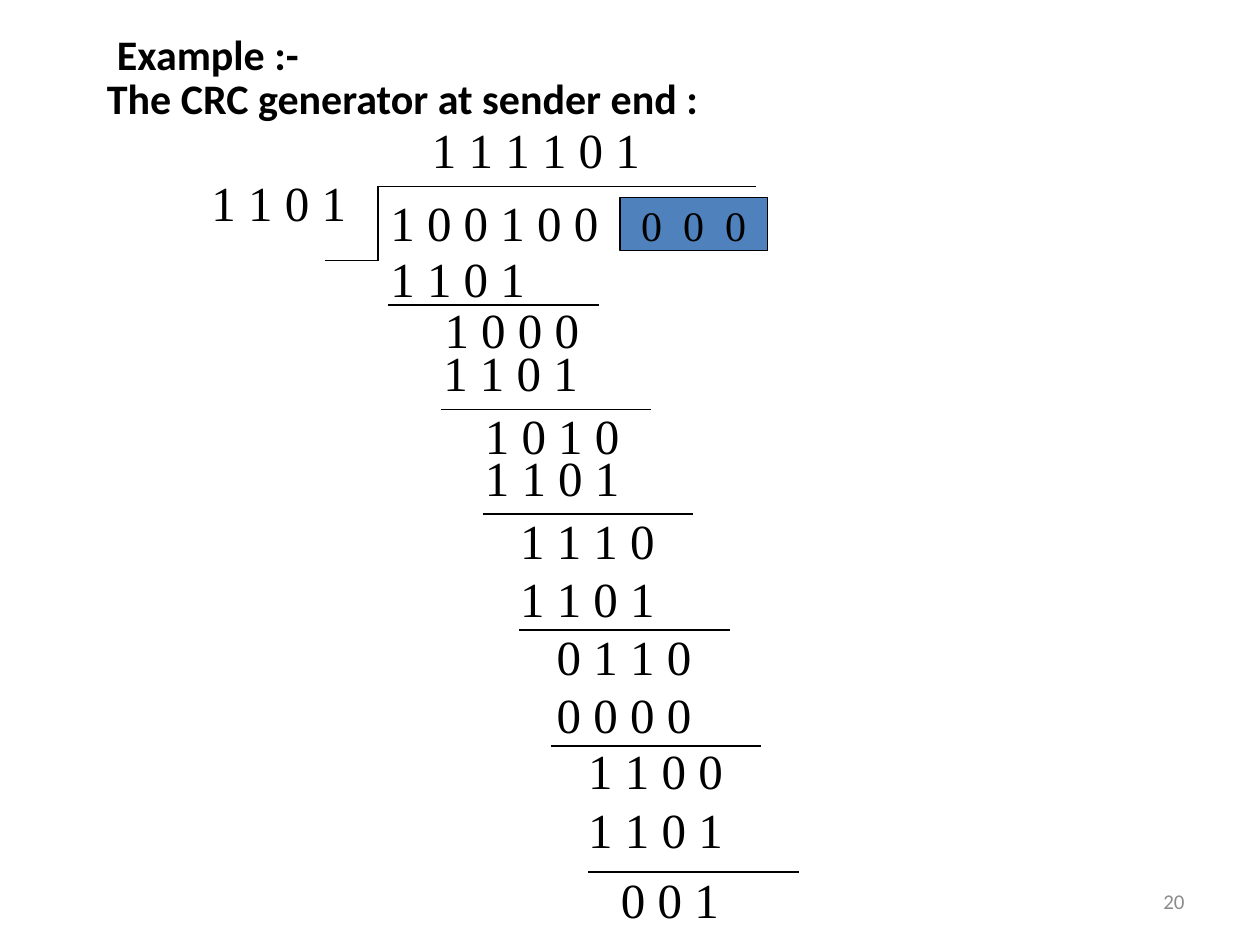
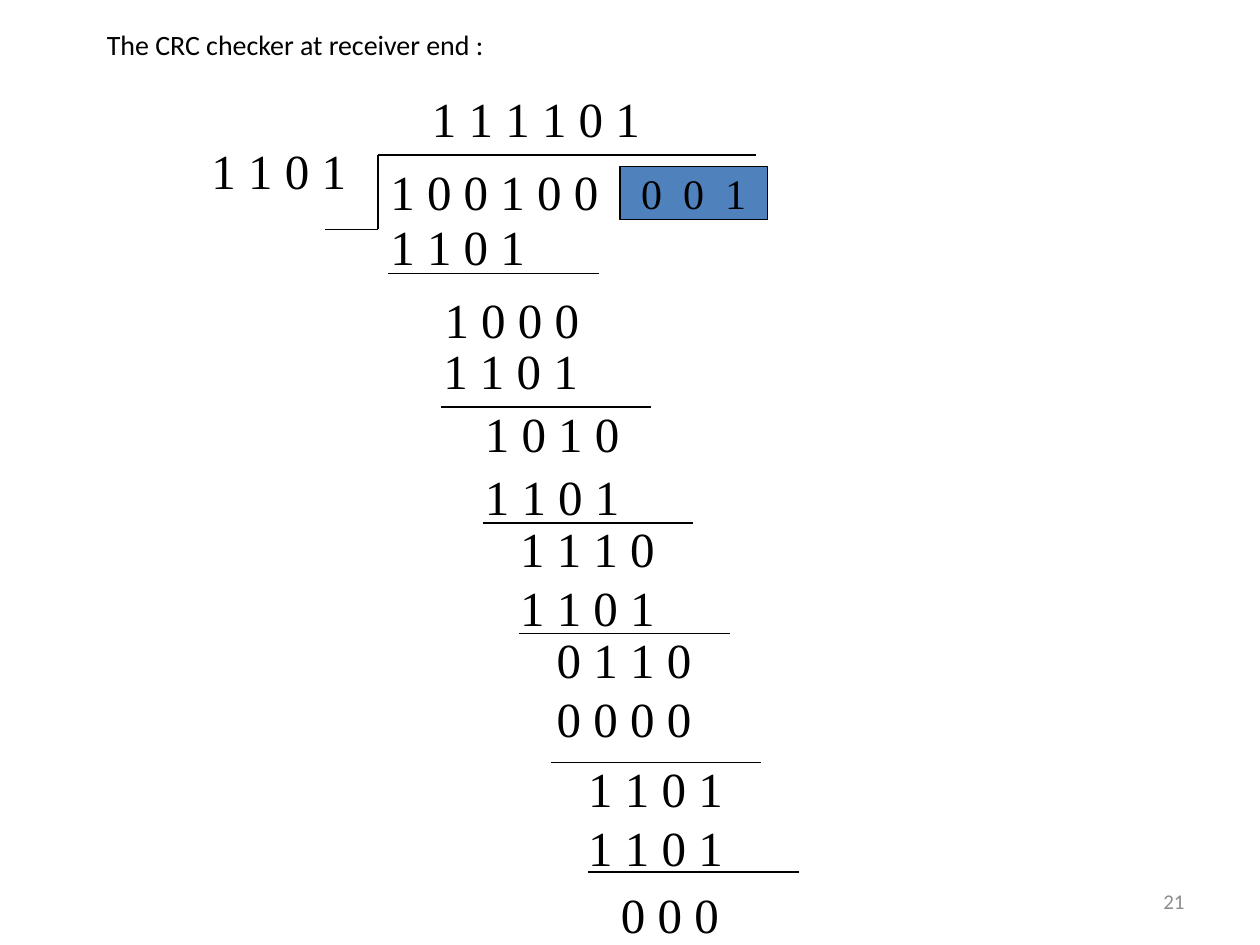
from pptx import Presentation
from pptx.dml.color import RGBColor
from pptx.enum import shapes, text
from pptx.oxml.ns import qn
from pptx.util import Inches, Pt
from lxml import etree

BLACK, GREY, BLUE = "000000", "8C8C8C", "4F81BD"
SERIF, SANS = "Times New Roman", "Calibri"
DIVISOR, QUOTIENT, DIVIDEND = "1 1 0 1", "1 1 1 1 0 1", "1 0 0 1 0 0"

STEP_LEFTS = [3, 3.43, 3.42, 3.75, 3.75, 4.03, 4.32, 4.57, 4.83]
RULE_LEFTS = [3.08, 3.5, 3.83, 4.12, 4.37, 4.67]
RULE_WIDTH = 1.67

SLIDES = [
    {
        "title": ["Example :-", "The CRC generator at sender end :"],
        "title_top": 0.29, "title_size": 24, "title_bold": True,
        "first_indent": 0.08,
        "number": "20",
        "bracket_top": 1.48,
        "check_bits": "0 0 0",
        "steps": [
            (1.92, ["1 1 0 1"]),
            (2.33, ["1 0 0 0"]),
            (2.67, ["1 1 0 1"]),
            (3.17, ["1 0 1 0"]),
            (3.5, ["1 1 0 1"]),
            (4, ["1 1 1 0", "1 1 0 1"]),
            (4.92, ["0 1 1 0", "0 0 0 0"]),
            (5.83, ["1 1 0 0", "1 1 0 1"]),
            (6.85, ["0 0 1"]),
        ],
        "rules": [2.42, 3.25, 4.08, 5, 5.92, 6.92],
    },
    {
        "title": ["The CRC checker at receiver end :"],
        "title_top": 0.24, "title_size": 16, "title_bold": False,
        "first_indent": 0,
        "number": "21",
        "bracket_top": 1.23,
        "check_bits": "0 0 1",
        "steps": [
            (1.67, ["1 1 0 1"]),
            (2.25, ["1 0 0 0"]),
            (2.65, ["1 1 0 1"]),
            (3.15, ["1 0 1 0"]),
            (3.65, ["1 1 0 1"]),
            (4.07, ["1 1 1 0", "1 1 0 1"]),
            (4.95, ["0 1 1 0", "0 0 0 0"]),
            (5.97, ["1 1 0 1", "1 1 0 1"]),
            (6.97, ["0 0 0"]),
        ],
        "rules": [2.17, 3.23, 4.15, 5.03, 6.05, 6.92],
    },
]


def rgb(value):
    return RGBColor.from_string(value)


def fill_text(tf, lines, size, font=SERIF, color=BLACK, bold=False, align=None):
    tf.word_wrap = True
    tf.text = "\n".join(lines)
    for p in tf.paragraphs:
        p.alignment = align
        for r in p.runs:
            r.font.size, r.font.name, r.font.bold = Pt(size), font, bold
            r.font.color.rgb = rgb(color)


def add_text(s, left, top, width, height, lines, size, **style):
    box = s.shapes.add_textbox(*map(Inches, (left, top, width, height)))
    fill_text(box.text_frame, lines, size, **style)
    return box.text_frame


def add_digits(s, left, top, lines, width=1.5):
    add_text(s, left, top, width, 0.1 + 0.47 * len(lines), lines, 28)


def add_line(s, x1, y1, x2, y2):
    line = s.shapes.add_connector(shapes.MSO_CONNECTOR.STRAIGHT,
                                  *map(Inches, (x1, y1, x2, y2)))
    line.line.color.rgb = rgb(BLACK)
    line.line.width = Pt(0.75)
    etree.SubElement(line._element.spPr, qn("a:effectLst"))


def add_title(s, data):
    tf = add_text(s, 0.75, data["title_top"], 7.83, 0.9, data["title"],
                  data["title_size"], font=SANS, bold=data["title_bold"])
    for i, p in enumerate(tf.paragraphs):
        p.line_spacing = 0.7
        p.space_before = Pt(0.2 * data["title_size"] if i else 0)
    first = tf.paragraphs[0]._p.get_or_add_pPr()
    first.set("marL", str(Inches(data["first_indent"])))


def add_check_bits(s, top, bits):
    sp = s.shapes.add_shape(shapes.MSO_SHAPE.RECTANGLE,
                            *map(Inches, (4.92, top, 1.17, 0.42)))
    sp.shadow.inherit = False
    sp.fill.solid()
    sp.fill.fore_color.rgb = rgb(BLUE)
    sp.line.color.rgb = rgb(BLACK)
    sp.line.width = Pt(0.75)
    tf = sp.text_frame
    fill_text(tf, [bits], 24, align=text.PP_ALIGN.CENTER)
    tf.word_wrap = False
    tf.vertical_anchor = text.MSO_ANCHOR.MIDDLE
    tf.paragraphs[0].runs[0].font._element.set("spc", "300")


def add_division(s, data):
    top = data["bracket_top"]
    corners = [(6, top), (3, top), (3, top + 0.59), (2.58, top + 0.59)]
    for start, end in zip(corners, corners[1:]):
        add_line(s, *start, *end)
    add_digits(s, 1.58, top - 0.16, [DIVISOR])
    add_digits(s, 3.33, top - 0.58, [QUOTIENT], 2.33)
    add_digits(s, 3, top, [DIVIDEND], 2.33)
    add_check_bits(s, top + 0.09, data["check_bits"])
    for left, (y, lines) in zip(STEP_LEFTS, data["steps"]):
        add_digits(s, left, y, lines)
    for left, y in zip(RULE_LEFTS, data["rules"]):
        add_line(s, left, y, left + RULE_WIDTH, y)


def main():
    prs = Presentation()
    prs.slide_width, prs.slide_height = Inches(10), Inches(7.5)
    for data in SLIDES:
        s = prs.slides.add_slide(prs.slide_layouts[6])
        add_title(s, data)
        tf = add_text(s, 7.17, 6.95, 2.33, 0.4, [data["number"]], 12,
                      font=SANS, color=GREY, align=text.PP_ALIGN.RIGHT)
        tf.vertical_anchor = text.MSO_ANCHOR.MIDDLE
        add_division(s, data)
    prs.save("out.pptx")


if __name__ == "__main__":
    main()
